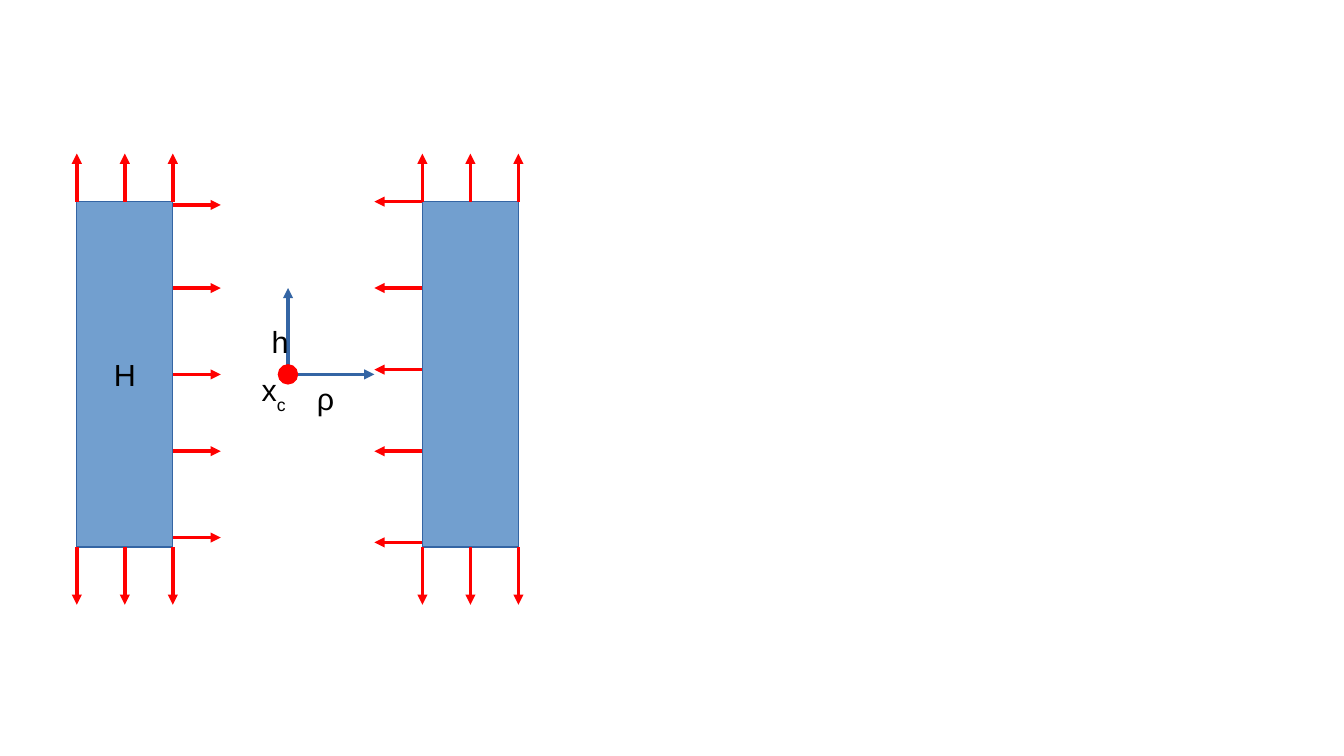
"""Draw two coils with field arrows around a centre point and its axes."""
from lxml.etree import SubElement
from pptx import Presentation
from pptx.dml.color import RGBColor
from pptx.enum.shapes import MSO_CONNECTOR as Link, MSO_SHAPE as Kind
from pptx.enum.text import MSO_ANCHOR as Anchor, MSO_AUTO_SIZE as Fit, PP_ALIGN as Align
from pptx.oxml.ns import qn
from pptx.util import Cm, Pt

RED, BLUE, FILL, BLACK = "FF0000", "3465A4", "729FCF", "000000"
TOP, WIDE, HIGH = 4.2, 2, 7.2
BASE, MID = TOP + HIGH, TOP + HIGH / 2
UP, DOWN, REACH = 3.2, 12.6, 1.2
COILS = [
    {"left": 1.6, "face": 3.6, "way": 1, "text": "H",
     "rows": [4.27, 6, 7.8, 9.4, 11.2]},
    {"left": 8.8, "face": 8.8, "way": -1, "text": "",
     "rows": [4.2, 6, 7.7, 9.4, 11.3]},
]
AXES = [(6, 7.6, 6, 6), (6, 7.8, 7.8, 7.8)]
DOT = (5.8, 7.6, 0.4, 0.4)
LABELS = [
    (5.41, 6.6, 0.86, 0.97, [("h", 0)]),
    (6.35, 7.8, 0.86, 0.97, [("ρ", 0)]),
    (5.2, 7.6, 1.02, 1.12, [("x", 0), ("c", -33000)]),
]


def color(code):
    return RGBColor.from_string(code)


def write(frame, runs):
    frame.word_wrap = False
    para = frame.paragraphs[0]
    for text, shift in runs:
        run = para.add_run()
        run.text = text
        run.font.size = Pt(18)
        run.font.name = "Arial"
        run.font.color.rgb = color(BLACK)
        if shift:
            run.font._element.set("baseline", str(shift))
    return para


def shape(kind, box, fill, edge):
    item = slide.shapes.add_shape(kind, *map(Cm, box))
    item.shadow.inherit = False
    item.fill.solid()
    item.fill.fore_color.rgb = color(fill)
    item.line.color.rgb = color(edge)
    item.line.width = Pt(0)
    return item


def arrow(ends, code):
    item = slide.shapes.add_connector(Link.STRAIGHT, *map(Cm, ends))
    item.line.color.rgb = color(code)
    item.line.width = Pt(0)
    props = item._element.spPr
    SubElement(props.find(qn("a:ln")), qn("a:tailEnd"), type="triangle")
    SubElement(props, qn("a:effectLst"))
    return item


deck = Presentation()
deck.slide_width, deck.slide_height = Cm(28), Cm(15.75)
slide = deck.slides.add_slide(deck.slide_layouts[6])

for coil in COILS:
    left, face = coil["left"], coil["face"]
    block = shape(Kind.RECTANGLE, (left, TOP, WIDE, HIGH), FILL, BLUE)
    if coil["text"]:
        write(block.text_frame, [(coil["text"], 0)]).alignment = Align.CENTER
        block.text_frame.vertical_anchor = Anchor.MIDDLE
    for start, end, site in [(TOP, UP, 0), (BASE, DOWN, 2)]:
        for step in range(3):
            x = left + step * WIDE / 2
            line = arrow((x, start, x, end), RED)
            if step == 1:
                line.begin_connect(block, site)
    for y in coil["rows"]:
        line = arrow((face, y, face + coil["way"], y), RED)
        if y == MID:
            line.begin_connect(block, 3 if coil["way"] > 0 else 1)

for ends in AXES:
    arrow(ends, BLUE)
shape(Kind.OVAL, DOT, RED, RED)

for *box, runs in LABELS:
    frame = slide.shapes.add_textbox(*map(Cm, box)).text_frame
    write(frame, runs)
    frame.auto_size = Fit.SHAPE_TO_FIT_TEXT

deck.save("out.pptx")
